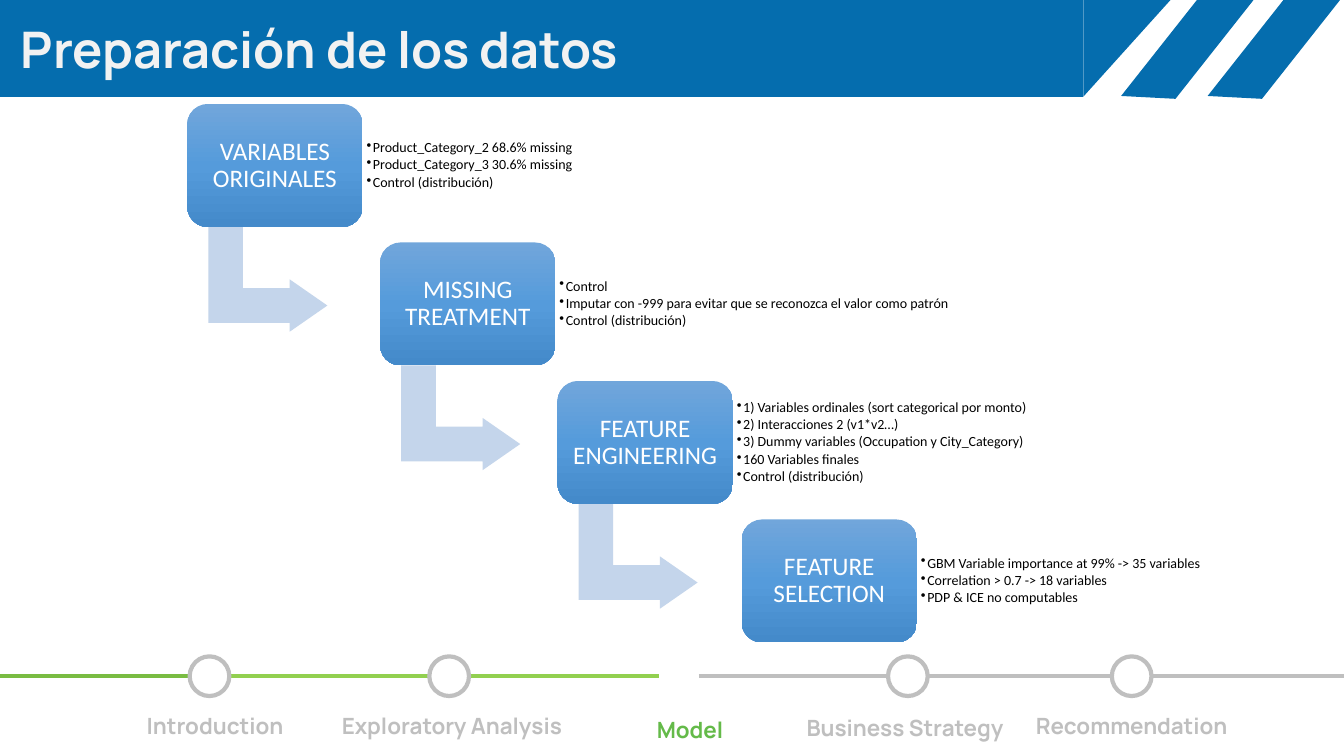
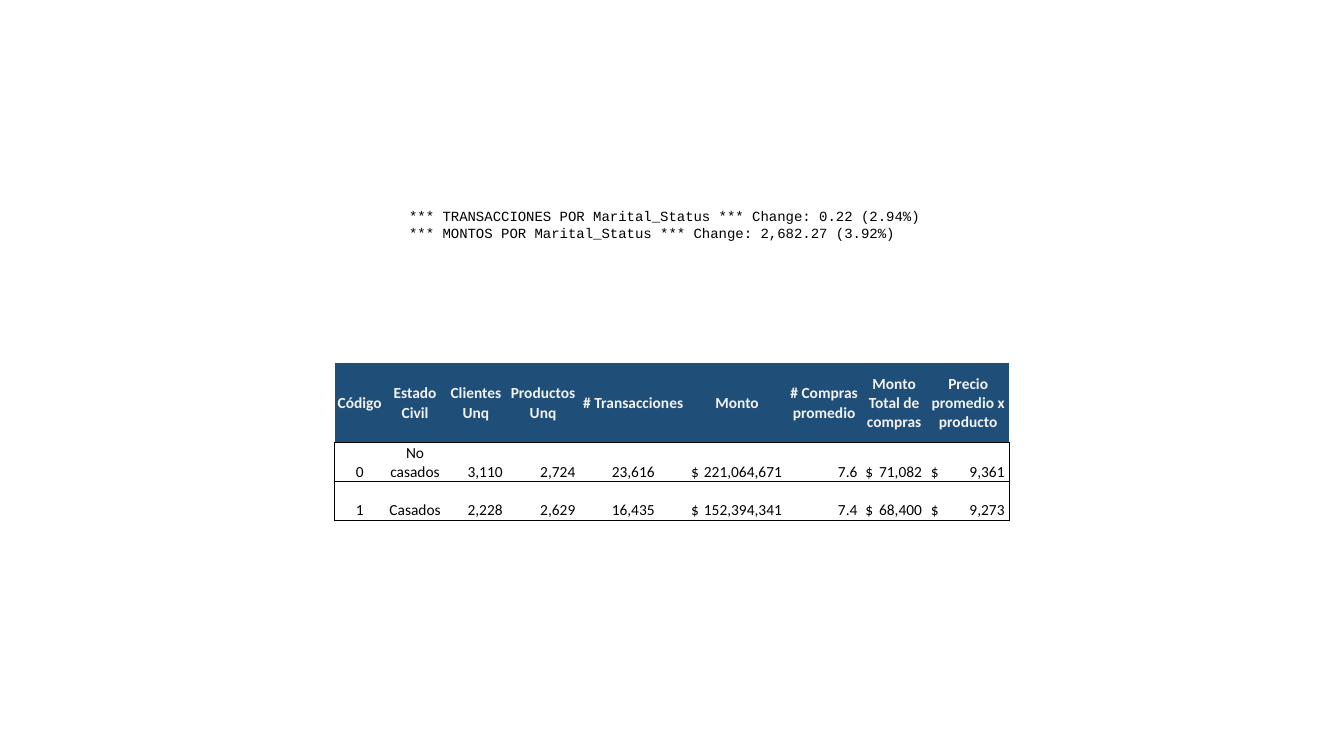
import copy

import pptx
import pptx.dml.color
import pptx.enum.shapes
import pptx.enum.text
import pptx.oxml
import pptx.oxml.ns
import pptx.util
from lxml import etree

Cm = pptx.util.Cm
Pt = pptx.util.Pt
RGBColor = pptx.dml.color.RGBColor
Shape = pptx.enum.shapes.MSO_SHAPE
Align = pptx.enum.text.PP_ALIGN
Anchor = pptx.enum.text.MSO_ANCHOR
qn = pptx.oxml.ns.qn

WHITE = RGBColor(0xFF, 0xFF, 0xFF)
BLACK = RGBColor(0x00, 0x00, 0x00)
OFF_WHITE = RGBColor(0xF2, 0xF2, 0xF2)
BAND_BLUE = RGBColor(0x05, 0x6D, 0xAE)
ARROW_BLUE = RGBColor(0xC4, 0xD5, 0xEB)
HEADER_BLUE = RGBColor(0x1F, 0x4E, 0x78)
GREY = RGBColor(0xBF, 0xBF, 0xBF)
DARK_GREEN = RGBColor(0x79, 0xBC, 0x42)
LIGHT_GREEN = RGBColor(0x92, 0xD0, 0x50)
MODEL_GREEN = RGBColor(0x64, 0xBA, 0x49)
STEP_GRADIENT = (
    (0, RGBColor(0x71, 0xA6, 0xDB)),
    (0.5, RGBColor(0x55, 0x9B, 0xDB)),
    (1, RGBColor(0x44, 0x8A, 0xCA)),
)

TITLE_FONT = "Manrope"
BODY_FONT = "Calibri"
CODE_FONT = "Courier New"
SLIDE_WIDTH, SLIDE_HEIGHT = 33.87, 19.05

# Box left edge, heading, notes
STEPS = (
    (4.72, "VARIABLES ORIGINALES", (
        "Product_Category_2 68.6% missing",
        "Product_Category_3 30.6% missing",
        "Control (distribución)")),
    (9.58, "MISSING TREATMENT", (
        "Control",
        "Imputar con -999 para evitar que se reconozca el valor como patrón",
        "Control (distribución)")),
    (14.05, "FEATURE ENGINEERING", (
        "1) Variables ordinales (sort categorical por monto)",
        "2) Interacciones 2 (v1*v2…)",
        "3) Dummy variables (Occupation y City_Category)",
        "160 Variables finales",
        "Control (distribución)")),
    (18.69, "FEATURE SELECTION", (
        "GBM Variable importance at 99% -> 35 variables",
        "Correlation > 0.7 -> 18 variables",
        "PDP & ICE no computables")),
)
STEP_TOP, STEP_PITCH = 2.62, 3.49
STEP_WIDTH, STEP_HEIGHT = 4.42, 3.1

# Node left edge, label, label centre, label top
STAGES = (
    (4.78, "Introduction", 5.42, 17.83),
    (10.82, "Exploratory Analysis", 11.39, 17.83),
    (16.61, "Model", 17.39, 17.93),
    (22.38, "Business Strategy", 22.81, 17.88),
    (28.02, "Recommendation", 28.52, 17.83),
)
CURRENT_STAGE = "Model"
NODE_SIZE, NODE_TOP = 1, 16.54
TRACK_COLOURS = (DARK_GREEN, LIGHT_GREEN, LIGHT_GREEN, GREY, GREY, GREY)

# Heading, column width, alignment of the values
COLUMNS = (
    ("Código", 1.27, Align.CENTER),
    ("Estado Civil", 1.52, Align.CENTER),
    ("Clientes Unq", 1.55, Align.RIGHT),
    ("Productos Unq", 1.83, Align.RIGHT),
    ("# Transacciones", 2.72, Align.CENTER),
    ("Monto", 2.51, Align.LEFT),
    ("# Compras promedio", 1.88, Align.RIGHT),
    ("Monto Total de compras", 1.65, Align.LEFT),
    ("Precio promedio x producto", 2.08, Align.LEFT),
)
RECORDS = (
    ("0", "No casados", "3,110", "2,724", "23,616",
     "$\t221,064,671", "7.6", "$\t71,082", "$\t9,361"),
    ("1", "Casados", "2,228", "2,629", "16,435",
     "$\t152,394,341", "7.4", "$\t68,400", "$\t9,273"),
)
ROW_HEIGHTS = (2.01, 0.97, 0.97)


def style(paragraph, font, size, colour, bold=False, align=Align.LEFT):
    paragraph.alignment = align
    paragraph.font.name = font
    paragraph.font.size = Pt(size)
    paragraph.font.color.rgb = colour
    paragraph.font.bold = bold


def set_margins(holder, left, top, right, bottom):
    holder.margin_left, holder.margin_top = Cm(left), Cm(top)
    holder.margin_right, holder.margin_bottom = Cm(right), Cm(bottom)


def add_shape(page, kind, left, top, width, height, fill=None, flip=False):
    shape = page.shapes.add_shape(kind, Cm(left), Cm(top), Cm(width), Cm(height))
    shape.shadow.inherit = False
    shape.line.fill.background()
    if fill is None:
        shape.fill.background()
    else:
        shape.fill.solid()
        shape.fill.fore_color.rgb = fill
    if flip:
        shape.element.spPr.find(qn("a:xfrm")).set("flipV", "1")
    return shape


def add_text(page, left, top, width, height, text):
    box = page.shapes.add_textbox(Cm(left), Cm(top), Cm(width), Cm(height))
    box.text_frame.word_wrap = True
    box.text_frame.text = text
    return box.text_frame


def add_title(page, text):
    """Blue band with slanted stripes and the slide title."""
    add_shape(page, Shape.RECTANGLE, 0, 0, 27.3, 2.44, BAND_BLUE)
    add_shape(page, Shape.RIGHT_TRIANGLE, 27.3, 0, 2.2, 2.44, BAND_BLUE, flip=True)
    for left in (27.94, 30.12):
        stripe = add_shape(page, Shape.FLOWCHART_DATA, left, 0.65, 3.96, 1.12,
                           BAND_BLUE, flip=True)
        stripe.rotation = 128.3
    frame = add_text(page, 0.28, 0.33, 27.15, 1.8, text)
    style(frame.paragraphs[0], TITLE_FONT, 36, OFF_WHITE, bold=True)


def add_track(page, start, end, colour):
    middle = Cm(NODE_TOP + NODE_SIZE / 2)
    track = page.shapes.add_connector(
        pptx.enum.shapes.MSO_CONNECTOR.STRAIGHT, Cm(start), middle, Cm(end), middle)
    track.line.color.rgb = colour
    track.line.width = Pt(3)
    etree.SubElement(track.element.spPr, qn("a:effectLst"))


def add_timeline(page):
    lefts = [stage[0] for stage in STAGES]
    starts = [0] + [left + NODE_SIZE for left in lefts]
    for start, end, colour in zip(starts, lefts + [SLIDE_WIDTH], TRACK_COLOURS):
        add_track(page, start, end, colour)
    width = 6.6
    for left, label, centre, top in STAGES:
        current = label == CURRENT_STAGE
        if not current:
            node = add_shape(page, Shape.OVAL, left, NODE_TOP, NODE_SIZE, NODE_SIZE)
            node.line.color.rgb = GREY
            node.line.width = Pt(3)
        frame = add_text(page, centre - width / 2, top, width, 0.94, label)
        style(frame.paragraphs[0], TITLE_FONT, 16, MODEL_GREEN if current else GREY,
              bold=True, align=Align.CENTER)


def fill_gradient(shape, stops):
    """Vertical gradient of three stops."""
    shape.fill.gradient()
    shape.fill.gradient_angle = 270
    stop_list = shape.element.spPr.find(qn("a:gradFill")).find(qn("a:gsLst"))
    stop_list.append(copy.deepcopy(stop_list[-1]))
    for stop, (position, colour) in zip(shape.fill.gradient_stops, stops):
        stop.position = position
        stop.color.rgb = colour


def add_step_box(page, left, top, heading):
    box = add_shape(page, Shape.ROUNDED_RECTANGLE, left, top, STEP_WIDTH, STEP_HEIGHT)
    fill_gradient(box, STEP_GRADIENT)
    frame = box.text_frame
    set_margins(frame, 0.17, 0.17, 0.17, 0.17)
    frame.word_wrap = True
    frame.vertical_anchor = Anchor.MIDDLE
    frame.text = heading
    frame.paragraphs[0].line_spacing = 0.9
    style(frame.paragraphs[0], BODY_FONT, 18, WHITE, align=Align.CENTER)


def add_bullet(paragraph):
    properties = paragraph._p.get_or_add_pPr()
    indent = Cm(0.16)
    properties.set("marL", str(indent))
    properties.set("indent", str(-indent))
    etree.SubElement(properties, qn("a:buChar")).set("char", "•")


def add_notes(page, left, top, notes):
    frame = add_text(page, left, top, 10.5, 2.51, "\n".join(notes))
    set_margins(frame, 0.1, 0.1, 0.1, 0.1)
    frame.vertical_anchor = Anchor.MIDDLE
    for paragraph in frame.paragraphs:
        add_bullet(paragraph)
        paragraph.line_spacing = 0.9
        paragraph.space_after = Pt(1.5)
        style(paragraph, BODY_FONT, 10, BLACK)


def add_cascade(page):
    for index, (left, heading, notes) in enumerate(STEPS):
        top = STEP_TOP + index * STEP_PITCH
        if index < len(STEPS) - 1:
            arrow = add_shape(page, Shape.BENT_UP_ARROW, left + 0.71, top + 2.92,
                              2.64, 3, ARROW_BLUE)
            arrow.rotation = 90
            for number, value in enumerate((0.33, 0.25, 0.36)):
                arrow.adjustments[number] = value
        add_step_box(page, left, top, heading)
        add_notes(page, left + STEP_WIDTH, top + 0.29, notes)


def set_borders(cell, visible):
    """Black line on the named sides, none on the others."""
    properties = cell._tc.get_or_add_tcPr()
    for position, side in enumerate(("L", "R", "T", "B")):
        line = pptx.oxml.parse_xml(
            f'<a:ln{side} {pptx.oxml.ns.nsdecls("a")} w="12700"/>')
        if side in visible:
            solid = etree.SubElement(line, qn("a:solidFill"))
            etree.SubElement(solid, qn("a:srgbClr")).set("val", str(BLACK))
        else:
            etree.SubElement(line, qn("a:noFill"))
        properties.insert(position, line)


def add_right_tab(paragraph, position):
    tabs = etree.SubElement(paragraph._p.get_or_add_pPr(), qn("a:tabLst"))
    tab = etree.SubElement(tabs, qn("a:tab"))
    tab.set("pos", str(Cm(position)))
    tab.set("algn", "r")


def fill_header_cell(cell, text):
    cell.text = text
    cell.fill.solid()
    cell.fill.fore_color.rgb = HEADER_BLUE
    cell.vertical_anchor = Anchor.MIDDLE
    set_margins(cell, 0.03, 0.03, 0.03, 0)
    style(cell.text_frame.paragraphs[0], BODY_FONT, 11, OFF_WHITE, bold=True,
          align=Align.CENTER)
    set_borders(cell, "B")


def fill_value_cell(cell, text, width, align, sides):
    cell.text = text
    cell.fill.background()
    cell.vertical_anchor = Anchor.BOTTOM
    side_margin = 0.03 if align == Align.CENTER else 0.1
    set_margins(cell, side_margin, 0.03, side_margin, 0)
    paragraph = cell.text_frame.paragraphs[0]
    if "\t" in text:
        add_right_tab(paragraph, width - 2 * side_margin - 0.02)
    style(paragraph, BODY_FONT, 11, BLACK, align=align)
    set_borders(cell, sides)


def add_status_table(page):
    total = sum(column[1] for column in COLUMNS)
    table = page.shapes.add_table(len(ROW_HEIGHTS), len(COLUMNS), Cm(8.43), Cm(9.14),
                                  Cm(total), Cm(sum(ROW_HEIGHTS))).table
    table.first_row = table.horz_banding = False
    for row, height in zip(table.rows, ROW_HEIGHTS):
        row.height = Cm(height)
    for number, (heading, width, align) in enumerate(COLUMNS):
        table.columns[number].width = Cm(width)
        fill_header_cell(table.cell(0, number), heading)
        sides = "TB" + {0: "L", len(COLUMNS) - 1: "R"}.get(number, "")
        for row, record in enumerate(RECORDS, 1):
            fill_value_cell(table.cell(row, number), record[number], width, align, sides)


def add_change_summary(page):
    box = add_shape(page, Shape.RECTANGLE, 10.31, 5.23, 13.23, 0.86, WHITE)
    frame = box.text_frame
    set_margins(frame, 0, 0, 0, 0)
    frame.word_wrap = True
    frame.vertical_anchor = Anchor.MIDDLE
    frame.text = ("*** TRANSACCIONES POR Marital_Status *** Change: 0.22 (2.94%) "
                  "*** MONTOS POR Marital_Status *** Change: 2,682.27 (3.92%)")
    style(frame.paragraphs[0], CODE_FONT, 10, BLACK)


def main():
    deck = pptx.Presentation()
    deck.slide_width, deck.slide_height = Cm(SLIDE_WIDTH), Cm(SLIDE_HEIGHT)
    blank = deck.slide_layouts[6]

    preparation = deck.slides.add_slide(blank)
    add_title(preparation, "Preparación de los datos")
    add_timeline(preparation)
    add_cascade(preparation)

    marital_status = deck.slides.add_slide(blank)
    add_change_summary(marital_status)
    add_status_table(marital_status)

    deck.save("out.pptx")


if __name__ == "__main__":
    main()
